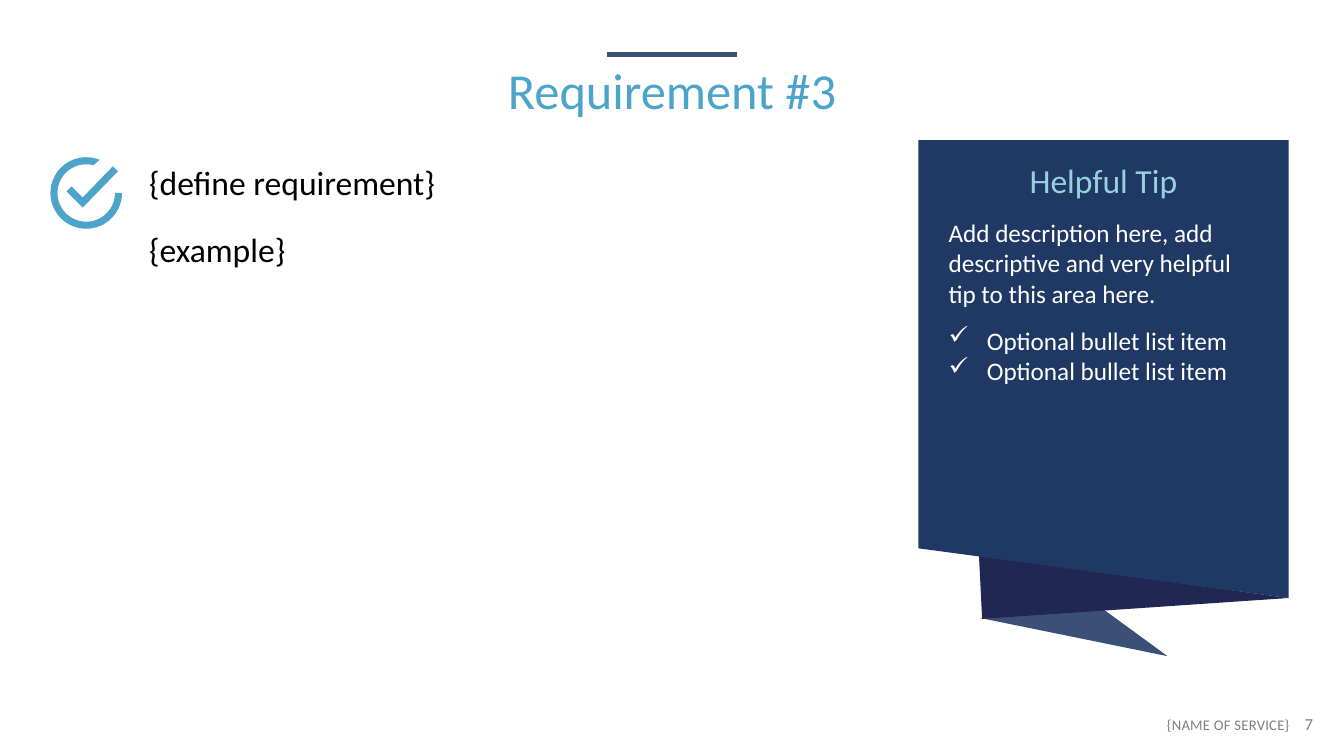
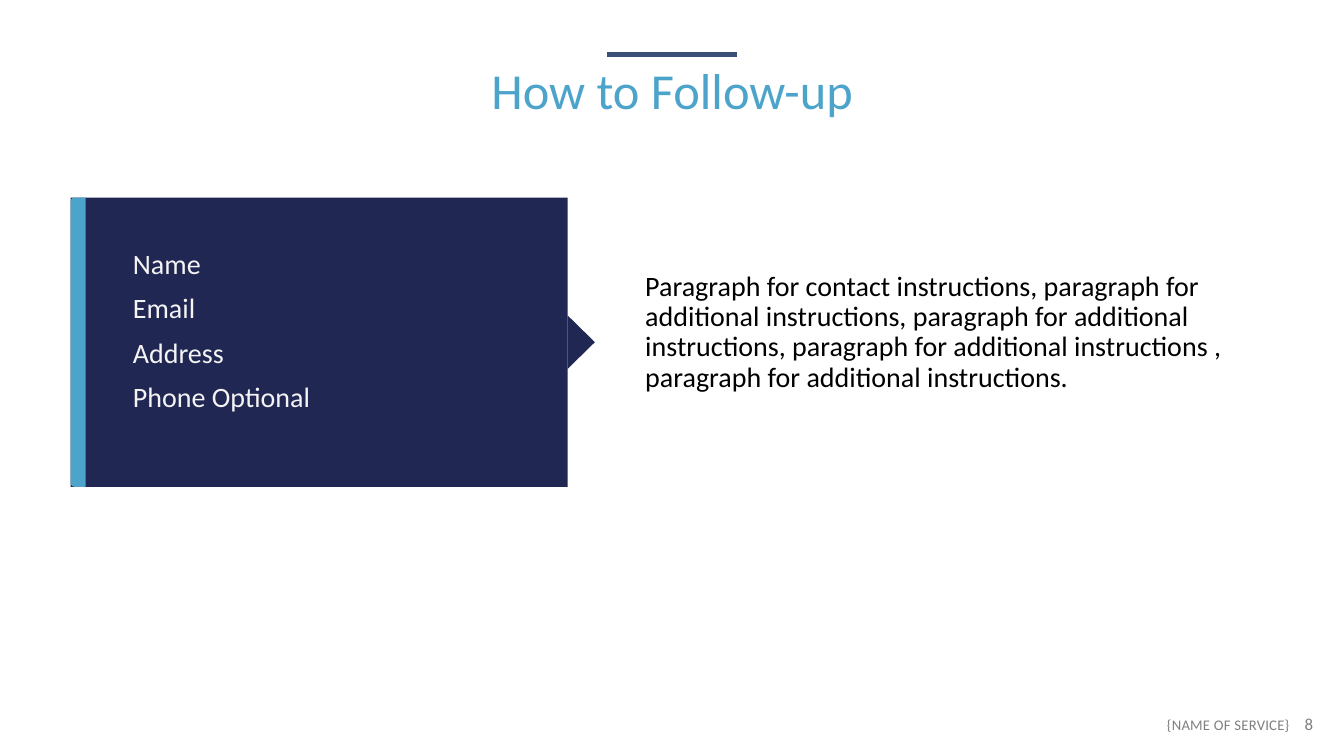
from math import cos, radians, sin

from lxml.etree import SubElement
from pptx import Presentation
from pptx.dml.color import RGBColor
from pptx.enum.shapes import MSO_CONNECTOR, MSO_SHAPE
from pptx.enum.text import MSO_ANCHOR, PP_ALIGN
from pptx.oxml.ns import qn
from pptx.util import Inches, Pt

# Grid: 80 columns by 45 rows of square cells
COLUMNS, ROWS = 80, 45
SLIDE_WIDTH, SLIDE_HEIGHT = Inches(13.33), Inches(7.5)
CELL = SLIDE_HEIGHT / ROWS

FONT = "Calibri"
SKY, AQUA, NAVY, INDIGO, SLATE = "4DA4CB", "96D2DE", "203864", "212753", "3B5077"
BLACK, WHITE, PALE, GRAY = "000000", "FFFFFF", "F4F4F4", "808080"

# Text styles: font values, then paragraph values
LOOSE = {"line_spacing": 0.9, "space_before": Pt(10)}
STYLES = {
    "title": (36, SKY, {"alignment": PP_ALIGN.CENTER, **LOOSE}),
    "service": (10.5, GRAY, {"alignment": PP_ALIGN.RIGHT}),
    "number": (12, GRAY, {}),
    "requirement": (24, BLACK, {}),
    "tip title": (24, AQUA, {"alignment": PP_ALIGN.CENTER, "space_after": Pt(12)}),
    "tip": (18, WHITE, {"space_after": Pt(12)}),
    "tip item": (18, WHITE, {}),
    "contact": (20, PALE, LOOSE),
    "instructions": (20, BLACK, LOOSE),
}


def cells(*counts):
    return [round(count * CELL) for count in counts]


def color(hex_value):
    return RGBColor.from_string(hex_value)


def write(frame, lines, insets=(0.1, 0.05), anchor=MSO_ANCHOR.TOP):
    """Fill a frame with (style, text) lines; insets are sides, then top and bottom."""
    side, end = map(Inches, insets)
    frame_format = {"word_wrap": True, "vertical_anchor": anchor,
                    "margin_left": side, "margin_right": side,
                    "margin_top": end, "margin_bottom": end}
    for name, value in frame_format.items():
        setattr(frame, name, value)
    for index, (style, text) in enumerate(lines):
        size, hex_value, paragraph_format = STYLES[style]
        paragraph = frame.add_paragraph() if index else frame.paragraphs[0]
        for name, value in {"alignment": PP_ALIGN.LEFT, **paragraph_format}.items():
            setattr(paragraph, name, value)
        run = paragraph.add_run()
        run.text = text
        for name, value in {"name": FONT, "size": Pt(size)}.items():
            setattr(run.font, name, value)
        run.font.color.rgb = color(hex_value)


def text_box(slide, box, lines, **layout):
    frame = slide.shapes.add_textbox(*cells(*box)).text_frame
    write(frame, lines, **layout)
    return frame


def add_check(paragraph):
    properties = paragraph._p.get_or_add_pPr()
    indent = Inches(0.38)
    properties.set("marL", str(indent))
    properties.set("indent", str(-indent))
    SubElement(properties, qn("a:buChar")).set("char", "✓")


def paint(shape, hex_value):
    shape.shadow.inherit = False
    shape.fill.solid()
    shape.fill.fore_color.rgb = color(hex_value)
    shape.line.fill.background()
    return shape


def block(slide, kind, center, size, hex_value, rotation=0):
    """Place a preset shape by its centre, so that it can turn in place."""
    (x, y), (width, height) = center, size
    box = cells(x - width / 2, y - height / 2, width, height)
    shape = paint(slide.shapes.add_shape(kind, *box), hex_value)
    shape.rotation = rotation
    return shape


def outline(slide, hex_value, *contours):
    first, *others = [[cells(*point) for point in contour] for contour in contours]
    builder = slide.shapes.build_freeform(*first[0], scale=1.0)
    builder.add_line_segments(first[1:], close=True)
    for contour in others:
        builder.move_to(*contour[0])
        builder.add_line_segments(contour[1:], close=True)
    return paint(builder.convert_to_shape(), hex_value)


def arc(center, radius, end, steps=48):
    """Points clockwise from three o'clock to the end angle."""
    x, y = center
    angles = [radians(end * step / steps) for step in range(steps + 1)]
    return [(x + radius * cos(angle), y + radius * sin(angle)) for angle in angles]


def check_icon(slide, center):
    x, y = center
    ring = arc(center, 2.13, 292) + arc(center, 1.71, 285)[::-1]
    tick = [(1.59, -1.59), (1.89, -1.29), (-0.21, 0.87),
            (-1.17, -0.09), (-0.87, -0.39), (-0.21, 0.27)]
    outline(slide, SKY, ring, [(x + dx, y + dy) for dx, dy in tick])


def tip_ribbon(slide, lines):
    left, right, top, bottom = 54.65, 76.69, 8.34, 35.6
    tail = outline(slide, NAVY, [(58.3, 36.78), (65.7, 36.3), (69.48, 39.06)])
    tail_color = tail.fill._xPr.find(qn("a:solidFill"))[0]
    SubElement(tail_color, qn("a:alpha")).set("val", "88000")
    outline(slide, INDIGO, [(58.26, 33.06), (right, bottom), (58.45, 36.84)])
    panel = outline(slide, NAVY, [(right, bottom), (left, 32.64), (left, top), (right, top)])
    write(panel.text_frame, lines, insets=(0.3, 0.2))
    for (style, _), paragraph in zip(lines, panel.text_frame.paragraphs):
        if style == "tip item":
            add_check(paragraph)


def contact_card(slide, names):
    left, width, height, middle = 4.2, 29.58, 17.22, 20.37
    pointer, stripe = 1.62, 0.9
    block(slide, MSO_SHAPE.RECTANGLE, (left + width / 2, middle), (width, height), INDIGO)
    block(slide, MSO_SHAPE.ISOSCELES_TRIANGLE, (left + width + pointer / 2, middle),
          (3.18, pointer), INDIGO, rotation=90)
    edge = block(slide, MSO_SHAPE.ROUND_2_SAME_RECTANGLE, (left + stripe / 2, middle),
                 (height, stripe), SKY, rotation=270)
    edge.adjustments[0] = 0.27
    text_box(slide, (7.32, 11.76, 23.4, 16), [("contact", name) for name in names],
             anchor=MSO_ANCHOR.MIDDLE)


def start_slide(deck, title, number):
    slide = deck.slides.add_slide(deck.slide_layouts[6])
    # Footer
    service = text_box(slide, (64.38, 42.3, 12.96, 2.4), [("service", "{NAME OF SERVICE}")])
    service.paragraphs[0].runs[0].font._element.set("spc", "20")
    text_box(slide, (77.04, 42.2, 2.64, 2.4), [("number", str(number))])
    # Title with its rule
    center, half, height = COLUMNS / 2, 3.87, 3.24
    rule = slide.shapes.add_connector(
        MSO_CONNECTOR.STRAIGHT, *cells(center - half, height, center + half, height))
    rule.line.color.rgb = color(SLATE)
    rule.line.width = Pt(3)
    SubElement(rule._element.spPr, qn("a:effectLst"))
    text_box(slide, (22.5, 3.66, 35, 3.36), [("title", title)])
    return slide


def main():
    deck = Presentation()
    deck.slide_width, deck.slide_height = SLIDE_WIDTH, SLIDE_HEIGHT

    # Requirement
    slide = start_slide(deck, "Requirement #3", 7)
    for row, text in enumerate(["{define requirement}", "{example}"]):
        text_box(slide, (8.28, 9.36 + row * 3.96, 40, 3), [("requirement", text)])
    check_icon(slide, (5.13, 11.49))
    tip_ribbon(slide, [
        ("tip title", "Helpful Tip"),
        ("tip", "Add description here, add descriptive and very helpful tip to this area here."),
        ("tip item", "Optional bullet list item"),
        ("tip item", "Optional bullet list item"),
    ])

    # Follow-up
    slide = start_slide(deck, "How to Follow-up", 8)
    contact_card(slide, ["Name", "Email", "Address", "Phone Optional"])
    text_box(slide, (38.4, 16.2, 37.8, 18.66), [(
        "instructions",
        "Paragraph for contact instructions, paragraph for additional instructions, "
        "paragraph for additional instructions, paragraph for additional instructions , "
        "paragraph for additional instructions.")], insets=(0, 0))

    deck.save("out.pptx")


if __name__ == "__main__":
    main()
